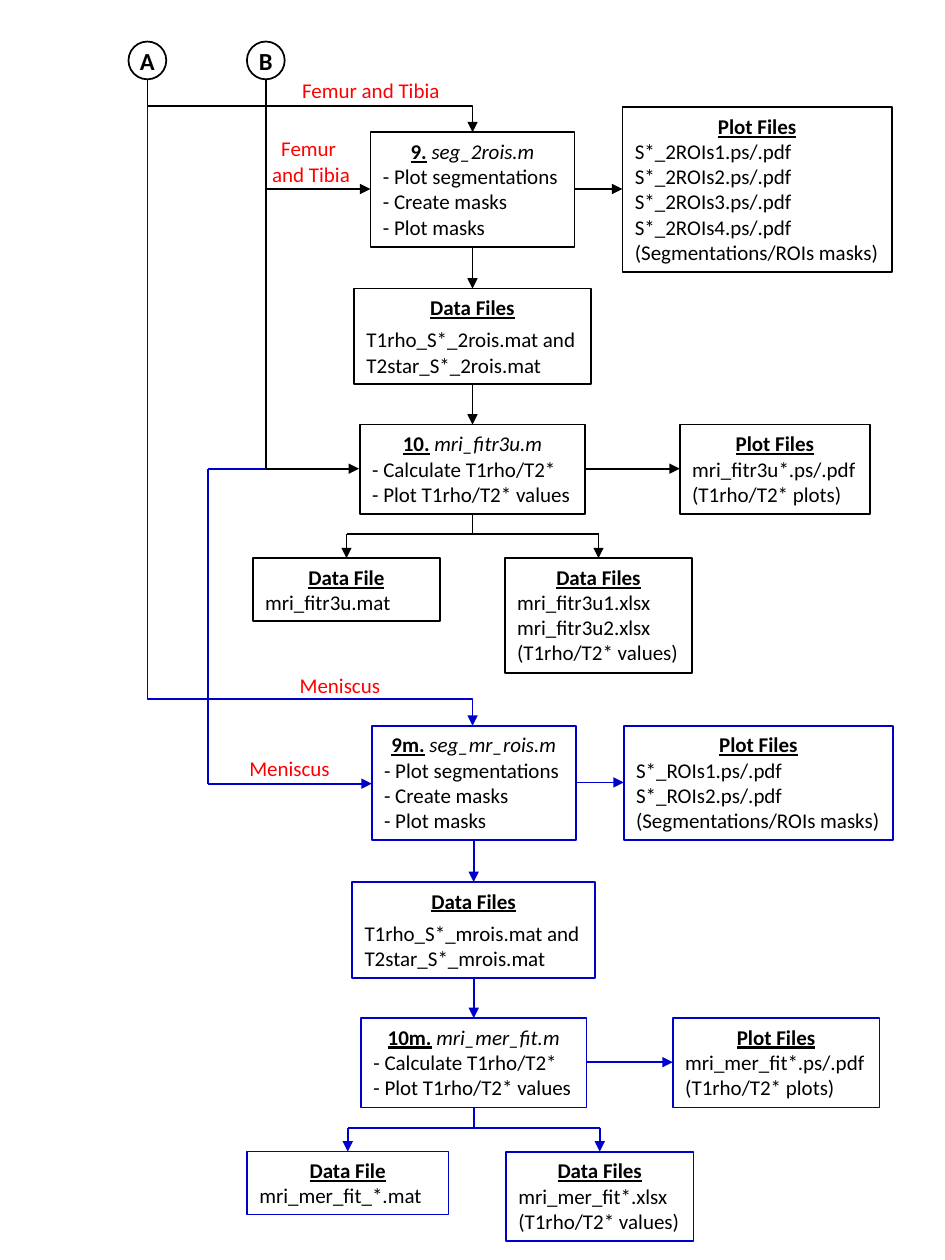
from lxml import etree
from pptx import Presentation, util as u
from pptx.dml.color import RGBColor
from pptx.enum import shapes, text
from pptx.oxml import ns

PX = 9144
BLACK = RGBColor(0x00, 0x00, 0x00)
BLUE = RGBColor(0x00, 0x00, 0xCC)
RED = RGBColor(0xFF, 0x00, 0x00)
BODY = dict(name="Calibri", size=u.Pt(12))
HEADING = dict(BODY, bold=True, underline=True)
SCRIPT = dict(BODY, italic=True)
ENTRY = dict(BODY, size=u.Pt(14), bold=True)
LEFT, CENTRE = text.PP_ALIGN.LEFT, text.PP_ALIGN.CENTER
TOP, MIDDLE = text.MSO_ANCHOR.TOP, text.MSO_ANCHOR.MIDDLE
FIT = text.MSO_AUTO_SIZE.SHAPE_TO_FIT_TEXT


def px(*lengths):
    return [round(length * PX) for length in lengths]


def apply(target, values):
    for key, value in values.items():
        setattr(target, key, value)


def add_runs(paragraph, runs, colour, align):
    paragraph.alignment = align
    for words, style in runs:
        run = paragraph.add_run()
        run.text = words
        apply(run.font, style)
        run.font.color.rgb = colour


def fill_text(frame, paragraphs, colour, **frame_values):
    apply(frame, frame_values)
    for i, (runs, align) in enumerate(paragraphs):
        paragraph = frame.add_paragraph() if i else frame.paragraphs[0]
        add_runs(paragraph, runs, colour, align)


def outlined(slide, kind, box, colour):
    shape = slide.shapes.add_shape(kind, *px(*box))
    shape.shadow.inherit = False
    shape.fill.background()
    shape.line.color.rgb = colour
    shape.line.width = u.Pt(1)
    return shape


def style_line(connector, colour, arrow):
    connector.line.color.rgb = colour
    connector.line.width = u.Pt(1)
    properties = connector._element.spPr
    if arrow:
        etree.SubElement(properties.find(ns.qn("a:ln")), ns.qn("a:tailEnd"), type="triangle")
    etree.SubElement(properties, ns.qn("a:effectLst"))


def straight(slide, x1, y1, x2, y2, colour, arrow=True):
    connector = slide.shapes.add_connector(shapes.MSO_CONNECTOR.STRAIGHT, *px(x1, y1, x2, y2))
    style_line(connector, colour, arrow)


def downward_elbow(slide, x1, y1, x2, y2, colour, preset, bend=None):
    mid_x, mid_y = (x1 + x2) / 2, (y1 + y2) / 2
    half_w, half_h = (y2 - y1) / 2, (x2 - x1) / 2
    connector = slide.shapes.add_connector(
        shapes.MSO_CONNECTOR.ELBOW,
        *px(mid_x + half_w, mid_y - half_h, mid_x - half_w, mid_y + half_h))
    properties = connector._element.spPr
    properties.find(ns.qn("a:xfrm")).set("rot", str(270 * 60000))
    geometry = properties.find(ns.qn("a:prstGeom"))
    geometry.set("prst", preset)
    if bend:
        guides = geometry.find(ns.qn("a:avLst"))
        etree.SubElement(guides, ns.qn("a:gd"), name="adj1", fmla=f"val {round(bend * 100000)}")
    style_line(connector, colour, True)


def file_box(slide, centre, top, width, heading, lines, colour, wrap=False, gap=0):
    height = round(10 + 20.2 * (len(lines) + 1)) + gap
    box = outlined(slide, shapes.MSO_SHAPE.RECTANGLE,
                   (centre - width / 2, top, width, height), colour)
    paragraphs = [(heading, CENTRE)] + [([(line, BODY)], LEFT) for line in lines]
    fill_text(box.text_frame, paragraphs, BLACK,
              word_wrap=wrap, auto_size=FIT, vertical_anchor=TOP)
    if gap:
        box.text_frame.paragraphs[1].space_before = u.Pt(4)


def pipeline(slide, axis, top, colour, content):
    def place(key, dx, dy, width, **options):
        heading, *lines = content[key]
        runs = [(heading, HEADING)]
        if key in ("segment", "fit"):
            number, script = heading.split(" ")
            runs = [(number, HEADING), (" " + script, SCRIPT)]
        file_box(slide, axis + dx, top + dy, width, runs, lines, colour, **options)

    def link(x1, y1, x2, y2, arrow=True):
        straight(slide, axis + x1, top + y1, axis + x2, top + y2, colour, arrow)

    widths = content["widths"]
    place("segment", 0, 0, 162)
    place("masks", 226, content["masks_top"], 214, wrap=True)
    place("rois", 0, 124, widths["rois"], gap=5)
    place("fit", 0, 232, 179)
    place("plots", 240, 232, widths["plots"])
    place("mat", -100, 338, widths["mat"], wrap=True)
    place("xlsx", 100, 338, 149)

    link(0, 91, 0, 124)
    link(81, 45, 119, 45)
    link(0, 200, 0, 232)
    link(90, 267, 240 - widths["plots"] / 2, 267)
    link(0, 303, 0, 319, arrow=False)
    for branch in (-100, 100):
        link(0, 319, branch, 319, arrow=False)
        link(branch, 319, branch, 338)


def entry_point(slide, letter, box):
    circle = outlined(slide, shapes.MSO_SHAPE.OVAL, box, BLACK)
    fill_text(circle.text_frame, [([(letter, ENTRY)], CENTRE)], BLACK,
              word_wrap=False, vertical_anchor=MIDDLE,
              margin_left=0, margin_right=0, margin_top=0, margin_bottom=0)


def route_label(slide, lines, align, box):
    label = slide.shapes.add_textbox(*px(*box))
    fill_text(label.text_frame, [([(line, BODY)], align) for line in lines], RED,
              word_wrap=False, auto_size=FIT)


def routes(slide):
    entry_point(slide, "A", (102, 33, 30, 30))
    entry_point(slide, "B", (196, 33, 30, 30))
    downward_elbow(slide, 211, 63, 285, 372, BLACK, "bentConnector2")
    straight(slide, 211, 150, 294, 150, BLACK)
    downward_elbow(slide, 117, 63, 375, 105, BLACK, "bentConnector3", 0.5)
    downward_elbow(slide, 117, 83, 375, 576, BLUE, "bentConnector3", 0.957)
    straight(slide, 211, 372, 165, 372, BLUE, arrow=False)
    straight(slide, 165, 372, 165, 622, BLUE, arrow=False)
    straight(slide, 165, 622, 295, 622, BLUE)
    route_label(slide, ["Meniscus"], LEFT, (228, 529, 86, 30))
    route_label(slide, ["Meniscus"], LEFT, (188, 595, 85, 30))
    route_label(slide, ["Femur and Tibia"], LEFT, (230, 57, 130, 30))
    route_label(slide, ["Femur", " and Tibia"], CENTRE, (202, 103, 86, 50))


SEGMENT_STEPS = ["- Plot segmentations", "- Create masks", "- Plot masks"]
FIT_STEPS = ["- Calculate T1rho/T2*", "- Plot T1rho/T2* values"]
MASK_NOTE, PLOT_NOTE, VALUE_NOTE = (
    "(Segmentations/ROIs masks)", "(T1rho/T2* plots)", "(T1rho/T2* values)")

FEMUR_TIBIA = dict(
    segment=["9. seg_2rois.m", *SEGMENT_STEPS],
    masks=["Plot Files", *(f"S*_2ROIs{n}.ps/.pdf" for n in range(1, 5)), MASK_NOTE],
    rois=["Data Files", "T1rho_S*_2rois.mat and", "T2star_S*_2rois.mat"],
    fit=["10. mri_fitr3u.m", *FIT_STEPS],
    plots=["Plot Files", "mri_fitr3u*.ps/.pdf", PLOT_NOTE],
    mat=["Data File", "mri_fitr3u.mat"],
    xlsx=["Data Files", "mri_fitr3u1.xlsx", "mri_fitr3u2.xlsx", VALUE_NOTE],
    widths=dict(rois=188, plots=151, mat=149),
    masks_top=-20)

MENISCUS = dict(
    segment=["9m. seg_mr_rois.m", *SEGMENT_STEPS],
    masks=["Plot Files", *(f"S*_ROIs{n}.ps/.pdf" for n in range(1, 3)), MASK_NOTE],
    rois=["Data Files", "T1rho_S*_mrois.mat and", "T2star_S*_mrois.mat"],
    fit=["10m. mri_mer_fit.m", *FIT_STEPS],
    plots=["Plot Files", "mri_mer_fit*.ps/.pdf", PLOT_NOTE],
    mat=["Data File", "mri_mer_fit_*.mat"],
    xlsx=["Data Files", "mri_mer_fit*.xlsx", VALUE_NOTE],
    widths=dict(rois=193, plots=164, mat=160),
    masks_top=0)


def main():
    deck = Presentation()
    deck.slide_width, deck.slide_height = px(750, 1000)
    slide = deck.slides.add_slide(deck.slide_layouts[6])
    pipeline(slide, 375, 105, BLACK, FEMUR_TIBIA)
    pipeline(slide, 376, 576, BLUE, MENISCUS)
    routes(slide)
    deck.save("out.pptx")


if __name__ == "__main__":
    main()
